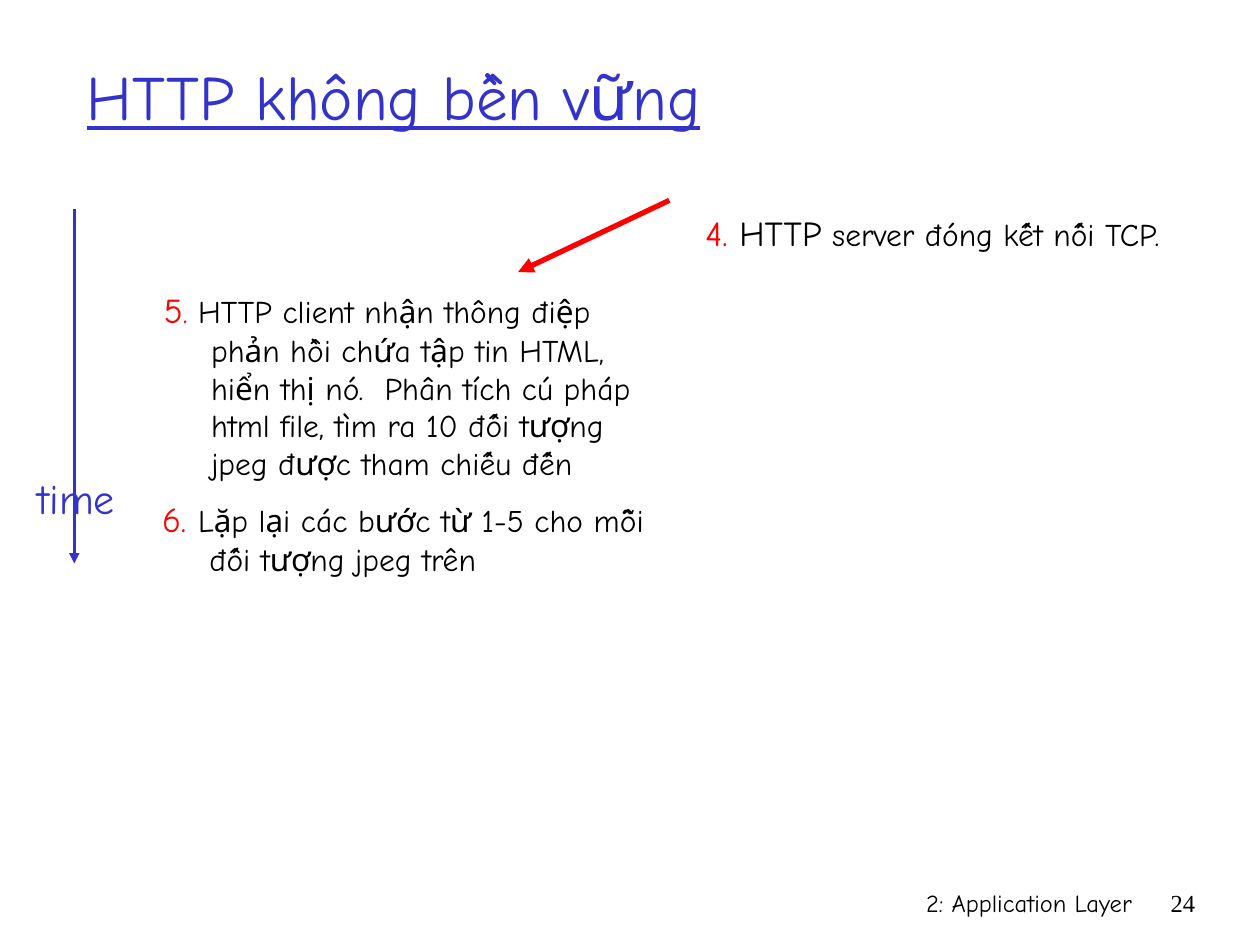
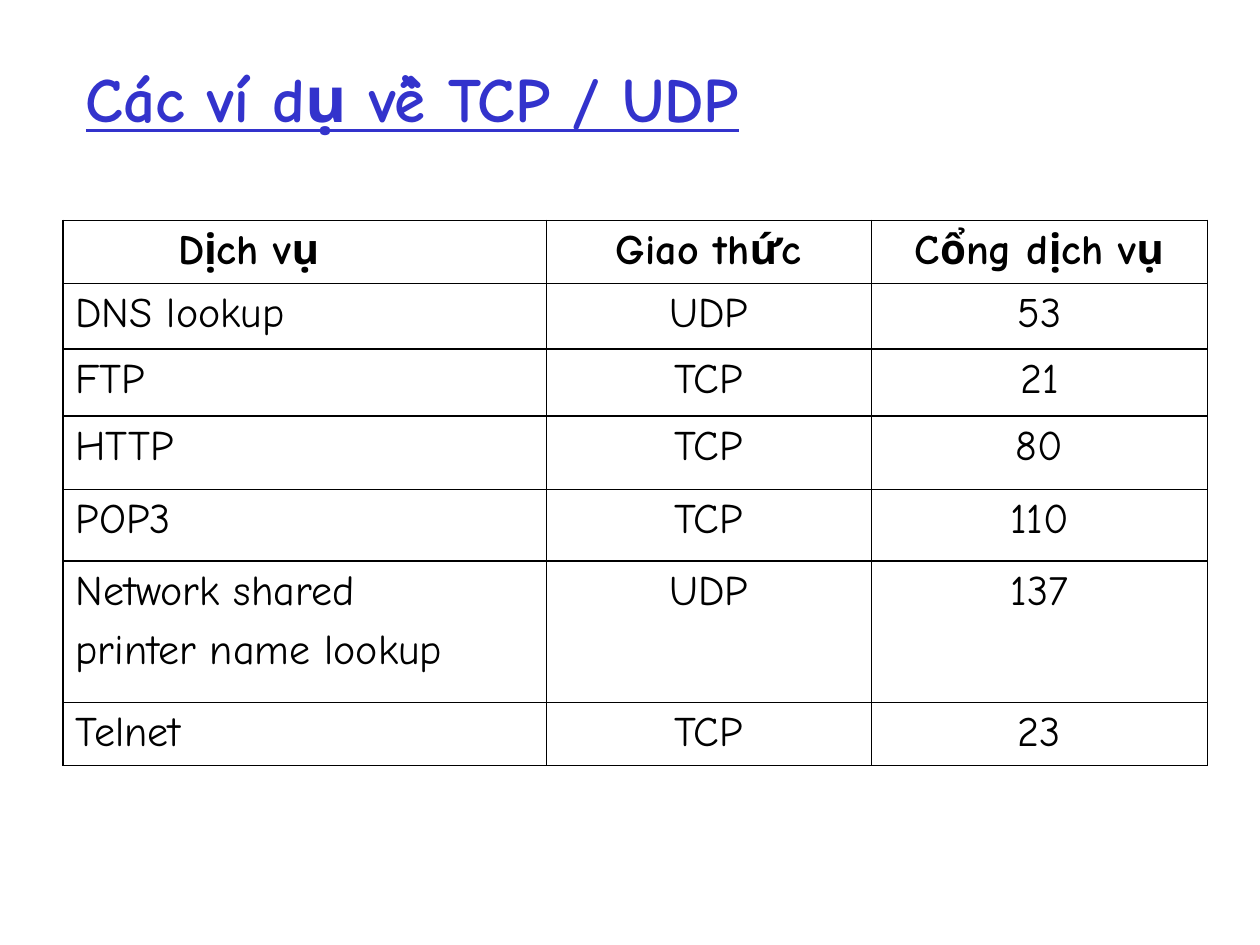
from lxml import etree
from pptx import Presentation
from pptx.dml.color import RGBColor
from pptx.enum.shapes import MSO_CONNECTOR
from pptx.enum.text import MSO_ANCHOR, MSO_AUTO_SIZE, PP_ALIGN
from pptx.oxml.ns import qn
from pptx.util import Pt

LEFT, CENTER, RIGHT = PP_ALIGN.LEFT, PP_ALIGN.CENTER, PP_ALIGN.RIGHT
TOP, MIDDLE = MSO_ANCHOR.TOP, MSO_ANCHOR.MIDDLE
FIXED, GROW = MSO_AUTO_SIZE.NONE, MSO_AUTO_SIZE.SHAPE_TO_FIT_TEXT
STRAIGHT = MSO_CONNECTOR.STRAIGHT

BLUE, RED, BLACK = "3333CC", "FF0000", "000000"
BODY_FONT, NUMBER_FONT = "Comic Neue", "Times New Roman"
THIN, THICK = 0.45, 1.08
HANGING = 27
STEP_WIDTH = 300


def color(value):
    return RGBColor.from_string(value)


class Lecture:
    def __init__(self):
        self.deck = Presentation()
        self.deck.slide_width, self.deck.slide_height = Pt(720), Pt(540)
        self.page = None

    def new_page(self):
        self.page = self.deck.slides.add_slide(self.deck.slide_layouts[6])

    def span(self, para, text, size, tint=BLACK, font=BODY_FONT, bold=False, underline=False):
        span = para.add_run()
        span.text = text
        span.font.name = font
        span.font.size = Pt(size)
        span.font.bold = bold
        span.font.underline = underline
        span.font.color.rgb = color(tint)

    def text_box(self, left, top, width, height, align=LEFT, anchor=TOP, wrap=True):
        box = self.page.shapes.add_textbox(Pt(left), Pt(top), Pt(width), Pt(height))
        box.text_frame.word_wrap = wrap
        box.text_frame.auto_size = FIXED if wrap else GROW
        box.text_frame.vertical_anchor = anchor
        para = box.text_frame.paragraphs[0]
        para.alignment = align
        return para

    def title(self, text, left, top, height, bold=False):
        para = self.text_box(left, top, 612, height, anchor=MIDDLE)
        self.span(para, text, 36, BLUE, bold=bold, underline=True)

    def footer(self, chapter, number):
        para = self.text_box(426, 504, 228, 36, RIGHT)
        self.span(para, chapter, 14)
        para = self.text_box(654, 504, 36, 36, RIGHT)
        self.span(para, number, 14, font=NUMBER_FONT)

    def step(self, left, top, height, spans):
        para = self.text_box(left, top, STEP_WIDTH, height)
        properties = para._p.get_or_add_pPr()
        properties.set("marL", str(Pt(HANGING)))
        properties.set("indent", str(-Pt(HANGING)))
        for text, size, tint in spans:
            self.span(para, text, size, tint)

    def arrow(self, start, end, tint, width):
        points = [Pt(value) for value in (*start, *end)]
        arrow = self.page.shapes.add_connector(STRAIGHT, *points)
        arrow.line.color.rgb = color(tint)
        arrow.line.width = Pt(width)
        head = etree.SubElement(arrow.line._get_or_add_ln(), qn("a:tailEnd"))
        head.set("type", "triangle")
        etree.SubElement(arrow._element.spPr, qn("a:effectLst"))

    def borders(self, cell, widths):
        properties = cell._tc.get_or_add_tcPr()
        for position, (side, width) in enumerate(widths.items()):
            line = etree.Element(qn(f"a:ln{side}"), w=str(Pt(width)))
            fill = etree.SubElement(line, qn("a:solidFill"))
            etree.SubElement(fill, qn("a:srgbClr"), val=BLACK)
            properties.insert(position, line)

    def table(self, left, top, widths, heights, rows):
        frame = self.page.shapes.add_table(
            len(rows), len(widths), Pt(left), Pt(top), Pt(sum(widths)), Pt(sum(heights)))
        table = frame.table
        table.first_row = table.horz_banding = False
        for column, width in zip(table.columns, widths):
            column.width = Pt(width)
        last = len(widths) - 1
        for row_index, (values, height) in enumerate(zip(rows, heights)):
            table.rows[row_index].height = Pt(height)
            header = row_index == 0
            for column_index, value in enumerate(values):
                cell = table.cell(row_index, column_index)
                cell.fill.background()
                self.borders(cell, {
                    "L": THICK if column_index == 0 else THIN,
                    "R": THICK if column_index == last else THIN,
                    "T": THICK,
                    "B": THICK,
                })
                for line_index, line in enumerate(value.split("\n")):
                    frame_text = cell.text_frame
                    para = frame_text.add_paragraph() if line_index else frame_text.paragraphs[0]
                    para.space_before = Pt(6 if line_index else 0)
                    para.alignment = CENTER if header or column_index else LEFT
                    self.span(para, line, 24, bold=header)
        return table


def build_http_page(lecture):
    lecture.new_page()
    lecture.footer("2: Application Layer", "24")
    lecture.title("HTTP không bền vững", 42.5, 20, 68.5)
    lecture.step(86.5, 161.5, 121, [
        ("5", 20, RED),
        (".", 18, RED),
        (" HTTP client nhận thông điệp phản hồi chứa tập tin HTML, hiển thị nó.  "
         "Phân tích cú pháp html file, tìm ra 10 đối tượng jpeg được tham chiếu đến", 18, BLACK),
    ])
    lecture.step(85.5, 281, 52.5, [
        ("6. ", 20, RED),
        ("Lặp lại các bước từ 1-5 cho mỗi đối tượng jpeg trên", 18, BLACK),
    ])
    lecture.step(396, 117.5, 57.5, [
        ("4.", 20, RED),
        (" HTTP", 20, BLACK),
        (" server đóng kết nối TCP.", 18, BLACK),
    ])
    lecture.arrow((42.5, 119.5), (42.5, 322), BLUE, 1.5)
    time_label = lecture.text_box(12.5, 266.5, 62, 36, CENTER, wrap=False)
    lecture.span(time_label, "time", 24, BLUE)
    lecture.arrow((382.5, 114.5), (296, 155.5), RED, 3)


def build_ports_page(lecture):
    lecture.new_page()
    lecture.title("Các ví dụ về TCP / UDP", 42, 18, 75, bold=True)
    services = lecture.table(
        36, 126, [276, 186, 192], [36, 37.5, 38.25, 42, 41, 80.75, 36],
        [
            ("Dịch vụ", "Giao thức", "Cổng dịch vụ"),
            ("DNS lookup", "UDP", "53"),
            ("FTP", "TCP", "21"),
            ("HTTP", "TCP", "80"),
            ("POP3", "TCP", "110"),
            ("Network shared\nprinter name lookup", "UDP", "137"),
            ("Telnet", "TCP", "23"),
        ])
    services.cell(0, 0).margin_right = Pt(71)


def main():
    lecture = Lecture()
    build_http_page(lecture)
    build_ports_page(lecture)
    lecture.deck.save("out.pptx")


if __name__ == "__main__":
    main()
